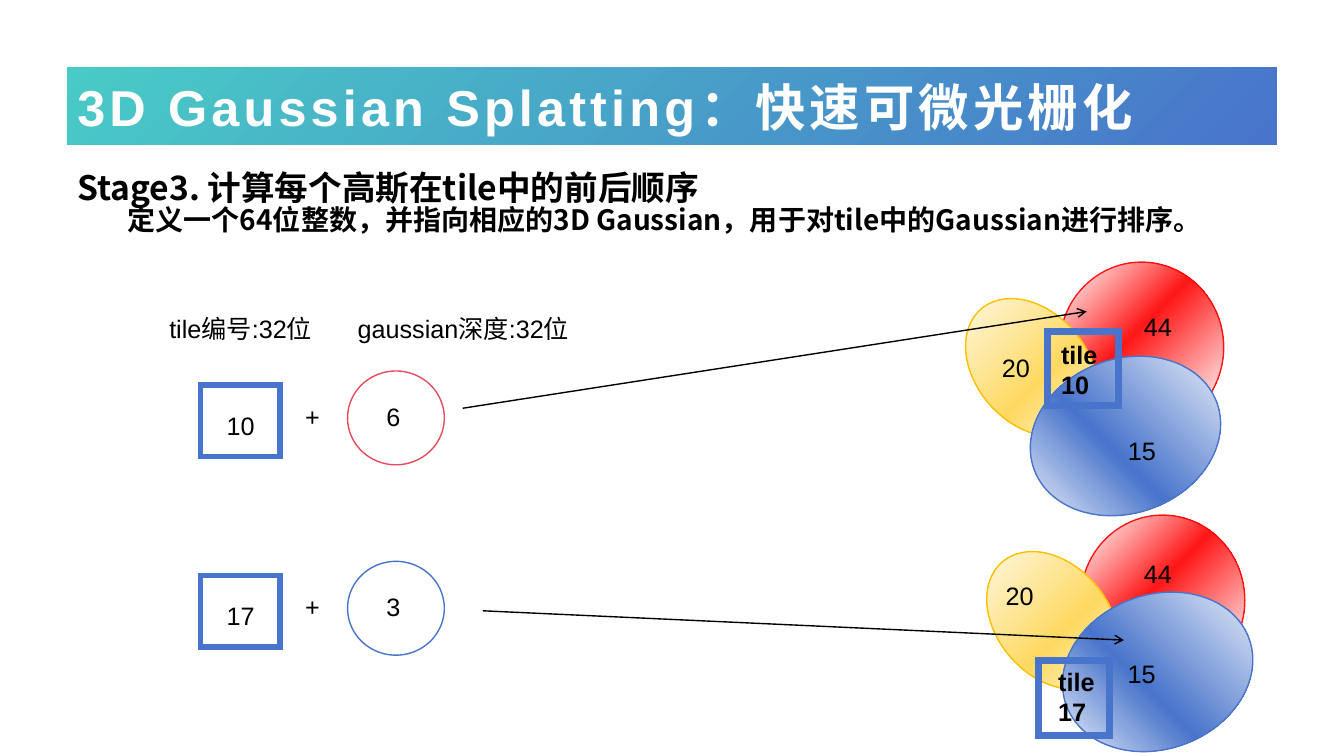
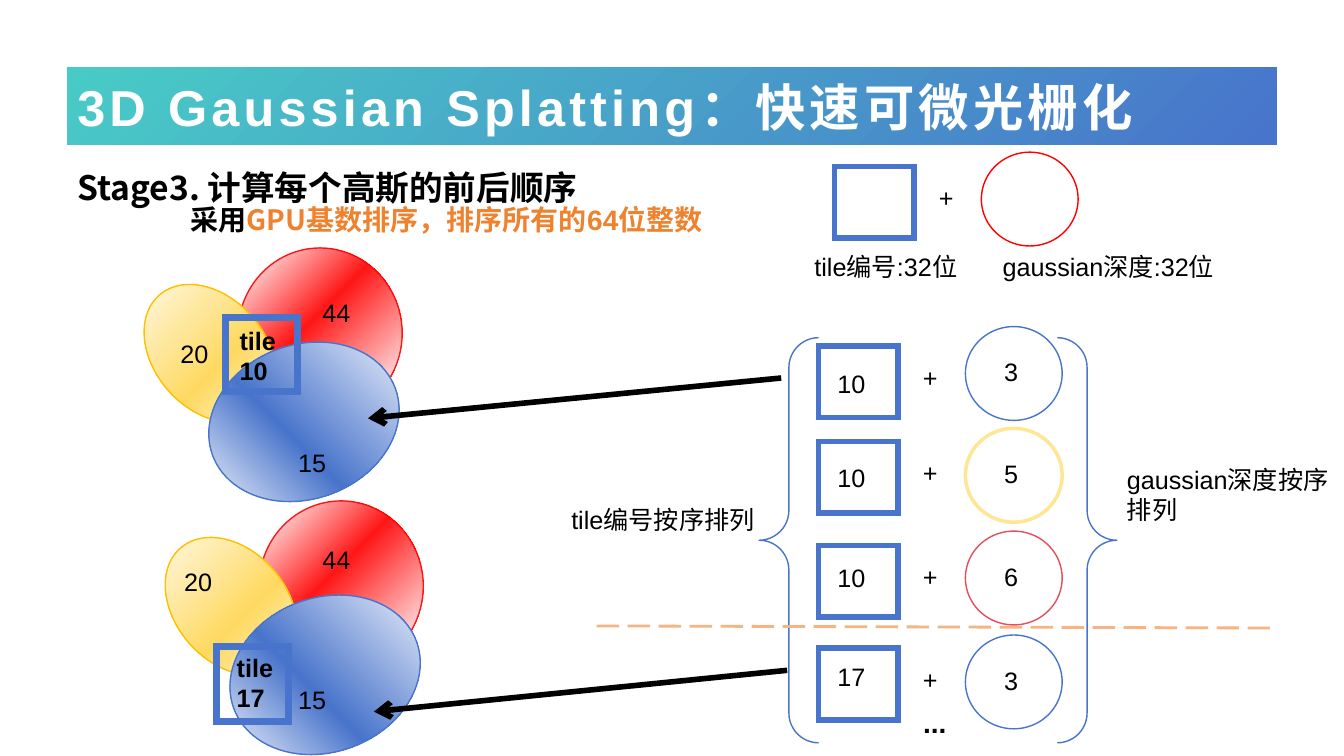
from pptx import Presentation
from pptx.dml.color import RGBColor
from pptx.enum.dml import MSO_LINE
from pptx.enum.shapes import MSO_CONNECTOR, MSO_SHAPE
from pptx.enum.text import MSO_ANCHOR, MSO_AUTO_SIZE, PP_ALIGN
from pptx.oxml import parse_xml
from pptx.oxml.ns import nsdecls
from pptx.util import Pt

RECTANGLE, OVAL, BRACES = MSO_SHAPE.RECTANGLE, MSO_SHAPE.OVAL, MSO_SHAPE.DOUBLE_BRACE
STRAIGHT, LONG_DASH = MSO_CONNECTOR.STRAIGHT, MSO_LINE.LONG_DASH
TOP, MIDDLE = MSO_ANCHOR.TOP, MSO_ANCHOR.MIDDLE
LEFT, NO_AUTOFIT = PP_ALIGN.LEFT, MSO_AUTO_SIZE.NONE

# Shared style
LATIN, CHINESE = "Arial", "Noto Sans CJK SC"
BLACK, WHITE, BLUE, TEAL = "000000", "FFFFFF", "4874CB", "48CBC6"
RED, ROSE, YELLOW, ORANGE, PEACH = "FF0000", "E54C5E", "FEE695", "EE822F", "F5B482"
TITLE = "3D Gaussian Splatting：快速可微光栅化"
TITLE_BAND = (48, 48, 864, 55.5)
TITLE_STOPS = [(0, TEAL), (100, BLUE)]
KEY_LABEL = "tile编号:32位\tgaussian深度:32位"
KEY_TAB = 134.5

# Body lists: (left margin, first-line indent, runs of (text, size, colour, font))
ORDER_BODY = [
    (0, 0, [("Stage3. 计算每个高斯在tile中的前后顺序", 24, BLACK, CHINESE)]),
    (0, 36, [("定义一个64位整数，并指向相应的3D Gaussian，用于对tile中的Gaussian进行排序。",
              20, BLACK, CHINESE)]),
]
SORT_BODY = [
    (0, 0, [("Stage3. 计算每个高斯的前后顺序", 24, BLACK, CHINESE)]),
    (36, 45, [("采用", 20, BLACK, CHINESE), ("GPU", 20, ORANGE, CHINESE),
              ("基数排序，排序所有的64位整数", 20, ORANGE, LATIN)]),
]

# Ellipses of a cluster: size, rotation, stops, gradient direction, outline, opacity
RED_ELLIPSE = ((117.4, 121.7), 0, [(6, WHITE), (56, "FF1717"), (97, WHITE)], None, RED, 88)
YELLOW_ELLIPSE = ((110.2, 79.9), 49, [(6, WHITE), (44, "FED961"), (97, WHITE)], 225, "FFC000", 100)
BLUE_ELLIPSE = ((110.2, 139), 70, [(6, WHITE), (44, BLUE), (97, WHITE)], 315, BLUE, 100)
YELLOW_OFFSET, BLUE_OFFSET = (-75, 35.3), (-7.9, 54.7)

# Tile number: offsets from the red ellipse of its frame, caption and two depths
TILES = {
    "10": {"frame": (-8.6, 49.5), "caption": (-5.8, 51.5),
           "44": (53.3, 31.7), "20": (-48.2, 61)},
    "17": {"frame": (-30.2, 104), "caption": (-23, 104.4),
           "44": (38.2, 27.4), "20": (-60.5, 43)},
}
# Clusters: tile, red ellipse corner, blue ellipse offset, offset of depth 15
ORDER_CLUSTERS = [("17", (771.8, 367.9), (0, 42.5), (26.6, 98.6)),
                  ("10", (756.7, 187.2), BLUE_OFFSET, (41.8, 120.2))]
SORT_CLUSTERS = [("17", (185, 357.8), BLUE_OFFSET, (20.9, 127.4)),
                 ("10", (169.9, 177.1), BLUE_OFFSET, (36, 139))]

# Keys: square top, circle top, tile, tile label top, depth, circle colour and line width
ORDER_KEYS = [(275, 265, "10", 289.4, "6", ROSE, 1),
              (411, 401, "17", 425.5, "3", BLUE, 1)]
SORT_KEYS = [(247, 233.3, "10", 259.2, "3", BLUE, 1),
             (315.4, 306, "10", 326.9, "5", YELLOW, 2.5),
             (389.5, 379.4, "10", 398.2, "6", ROSE, 1),
             (463, 453.6, "17", 468.7, "3", BLUE, 1)]

# Lines: start, end, width
ORDER_ARROWS = [((330.5, 291.6), (776.2, 222.5), 1), ((344.9, 436.3), (802.8, 457.2), 1)]
SORT_ARROWS = [((558, 270), (262.8, 298.8), 4), ((562.3, 478.8), (267.1, 508.3), 4)]


def color(value):
    return RGBColor.from_string(value)


def place(shape, left, top, width, height):
    shape.left, shape.top, shape.width, shape.height = Pt(left), Pt(top), Pt(width), Pt(height)


def add_run(paragraph, text, size, tone, latin, bold=False):
    run = paragraph.add_run()
    run.text = text
    font = run.font
    font.size, font.bold, font.name = Pt(size), bold, latin
    font.color.rgb = color(tone)
    properties = run._r.get_or_add_rPr()
    properties.append(parse_xml(f'<a:ea {nsdecls("a")} typeface="{CHINESE}"/>'))
    return properties


def fill_gradient(shape, stops, angle):
    shape.fill.background()
    plain = shape._element.spPr.find(".//{*}noFill")
    marks = "".join(f'<a:gs pos="{position * 1000}"><a:srgbClr val="{tone}"/></a:gs>'
                    for position, tone in stops)
    if angle is None:
        course = ('<a:path path="circle"><a:fillToRect l="100000" t="100000"/></a:path>')
    else:
        course = f'<a:lin ang="{angle * 60000}" scaled="0"/>'
    gradient = parse_xml(f'<a:gradFill {nsdecls("a")} rotWithShape="0">'
                         f'<a:gsLst>{marks}</a:gsLst>{course}</a:gradFill>')
    plain.getparent().replace(plain, gradient)


def add_outline(slide, preset, frame, tone, width):
    shape = slide.shapes.add_shape(preset, *map(Pt, frame))
    shape.shadow.inherit = False
    shape.fill.background()
    shape.line.color.rgb = color(tone)
    shape.line.width = Pt(width)
    if preset == RECTANGLE:
        shape.line._get_or_add_ln().append(parse_xml(f'<a:miter {nsdecls("a")} lim="800000"/>'))
    return shape


def add_label(slide, left, top, width, lines, size=18, bold=False, height=28.8, tab=None):
    box = slide.shapes.add_textbox(Pt(left), Pt(top), Pt(width), Pt(height))
    frame = box.text_frame
    frame.word_wrap = True
    for index, line in enumerate(lines):
        paragraph = frame.paragraphs[0] if index == 0 else frame.add_paragraph()
        if tab:
            paragraph._p.get_or_add_pPr().append(parse_xml(
                f'<a:tabLst {nsdecls("a")}><a:tab pos="{Pt(tab)}" algn="l"/></a:tabLst>'))
        add_run(paragraph, line, size, BLACK, LATIN, bold)


def add_line(slide, start, end, width, tone=BLACK, dash=None, arrow=True):
    connector = slide.shapes.add_connector(STRAIGHT, *map(Pt, start + end))
    connector._element.spPr.append(parse_xml(f'<a:effectLst {nsdecls("a")}/>'))
    connector.line.color.rgb = color(tone)
    connector.line.width = Pt(width)
    if dash:
        connector.line.dash_style = dash
    if arrow:
        connector.line._get_or_add_ln().append(
            parse_xml(f'<a:tailEnd {nsdecls("a")} type="arrow"/>'))


def add_ellipse(slide, left, top, style):
    size, rotation, stops, angle, tone, opacity = style
    shape = add_outline(slide, OVAL, (left, top, *size), tone, 1)
    shape.rotation = rotation
    fill_gradient(shape, stops, angle)
    if opacity < 100:
        line_color = shape.line._get_or_add_ln().find(".//{*}srgbClr")
        line_color.append(parse_xml(f'<a:alpha {nsdecls("a")} val="{opacity * 1000}"/>'))


def add_cluster(slide, tile, corner, blue_offset, depth_offset):
    def at(offset):
        return corner[0] + offset[0], corner[1] + offset[1]

    parts = TILES[tile]
    add_ellipse(slide, *corner, RED_ELLIPSE)
    add_ellipse(slide, *at(YELLOW_OFFSET), YELLOW_ELLIPSE)
    add_ellipse(slide, *at(blue_offset), BLUE_ELLIPSE)
    for depth, offset in (("44", parts["44"]), ("20", parts["20"]), ("15", depth_offset)):
        add_label(slide, *at(offset), 40, [depth])
    add_label(slide, *at(parts["caption"]), 42, ["tile", tile], bold=True, height=51)
    add_outline(slide, RECTANGLE, (*at(parts["frame"]), 51.1, 53.3), BLUE, 5)


def add_key(slide, left, square_top, circle_top, tone, width):
    add_outline(slide, RECTANGLE, (left, square_top, 56.9, 51.1), BLUE, 4)
    add_outline(slide, OVAL, (left + 105, circle_top, 69.1, 67), tone, width)
    add_label(slide, left + 67.5, square_top + 8, 25, ["+"])


def add_keys(slide, left, label_indent, keys):
    for square_top, circle_top, tile, label_top, depth, tone, width in keys:
        add_key(slide, left, square_top, circle_top, tone, width)
        add_label(slide, left + label_indent, label_top, 38, [tile])
        add_label(slide, left + 125.5, circle_top + 18, 38, [depth])


def start_slide(presentation, body_width, body_lines):
    slide = presentation.slides.add_slide(presentation.slide_layouts[1])
    title, body = slide.shapes.title, slide.placeholders[1]
    # Title band
    place(title, *TITLE_BAND)
    fill_gradient(title, TITLE_STOPS, 45)
    title.text_frame.vertical_anchor = MIDDLE
    paragraph = title.text_frame.paragraphs[0]
    paragraph.alignment = LEFT
    add_run(paragraph, TITLE, 36, WHITE, LATIN, True).set("spc", "300")
    # Body list
    place(body, 48, 119.5, body_width, 60.5)
    frame = body.text_frame
    frame.vertical_anchor, frame.word_wrap = TOP, True
    for index, (margin, indent, runs) in enumerate(body_lines):
        paragraph = frame.paragraphs[0] if index == 0 else frame.add_paragraph()
        properties = paragraph._p.get_or_add_pPr()
        properties.set("marL", str(Pt(margin)))
        properties.set("indent", str(Pt(indent)))
        properties.append(parse_xml(f'<a:buNone {nsdecls("a")}/>'))
        paragraph.space_before, paragraph.line_spacing = Pt(0), 0.87
        for text, size, tone, latin in runs:
            add_run(paragraph, text, size, tone, latin, True)
    frame.auto_size = NO_AUTOFIT
    for shape in (title, body):
        shape.text_frame.margin_left = shape.text_frame.margin_right = Pt(7.2)
        shape.text_frame.margin_top = shape.text_frame.margin_bottom = Pt(3.6)
    return slide


def build_order_slide(presentation):
    slide = start_slide(presentation, 851, ORDER_BODY)
    add_label(slide, 113.8, 220.3, 320, [KEY_LABEL], tab=KEY_TAB)
    add_keys(slide, 143.3, 11.5, ORDER_KEYS)
    for cluster in ORDER_CLUSTERS:
        add_cluster(slide, *cluster)
    for arrow in ORDER_ARROWS:
        add_line(slide, *arrow)


def build_sort_slide(presentation):
    slide = start_slide(presentation, 514, SORT_BODY)
    # Legend of the key
    add_key(slide, 596, 118.8, 108.7, RED, 1)
    add_label(slide, 574.6, 175.7, 320, [KEY_LABEL], tab=KEY_TAB)
    # Sorted list
    add_keys(slide, 584.6, 6.5, SORT_KEYS)
    add_label(slide, 652.3, 500.4, 40, ["..."], size=20, bold=True)
    add_label(slide, 401, 356.4, 165.6, ["tile编号按序排列"])
    add_label(slide, 797.8, 328.3, 162, ["gaussian深度按序排列"], height=77)
    add_outline(slide, BRACES, (542.2, 241.2, 255.6, 289.4), BLUE, 1)
    add_line(slide, (426.2, 447.1), (911.5, 448.6), 2, PEACH, LONG_DASH, False)
    # Clusters
    for cluster in SORT_CLUSTERS:
        add_cluster(slide, *cluster)
    for arrow in SORT_ARROWS:
        add_line(slide, *arrow)


def main():
    presentation = Presentation()
    presentation.slide_width, presentation.slide_height = Pt(960), Pt(540)
    build_order_slide(presentation)
    build_sort_slide(presentation)
    presentation.save("out.pptx")


if __name__ == "__main__":
    main()
